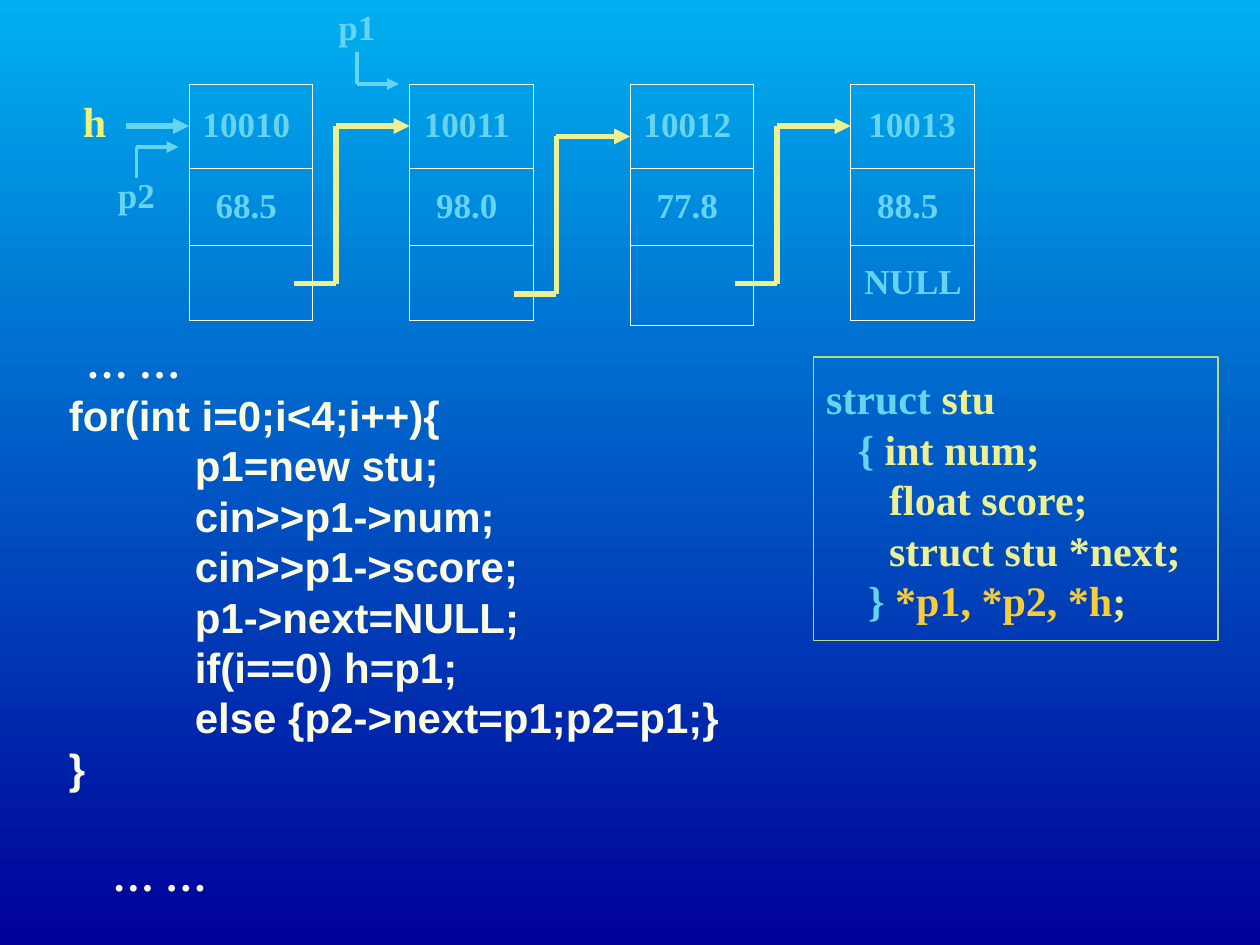
from dataclasses import dataclass

from lxml import etree
from pptx import Presentation
from pptx import util as u
from pptx.dml.color import RGBColor
from pptx.enum import shapes, text
from pptx.oxml import ns

SKY = RGBColor(0x00, 0xB0, 0xF0)
NAVY = RGBColor(0x00, 0x00, 0x99)
CYAN = RGBColor(0x66, 0xD4, 0xEE)
YELLOW = RGBColor(0xEC, 0xF0, 0x92)
LEMON = RGBColor(0xF0, 0xF3, 0x79)
GOLD = RGBColor(0xF5, 0xCD, 0x39)
CREAM = RGBColor(0xFB, 0xFA, 0xE2)
LIME = RGBColor(0xBA, 0xD9, 0x83)

SERIF = "Times New Roman"
NODE_LEFT, NODE_STEP, NODE_TOP, NODE_WIDTH = 108, 126, 48, 70.5


@dataclass
class Node:
    fields: tuple[str, ...]
    last_height: float = 42.5


@dataclass
class Line:
    runs: tuple[tuple[str, RGBColor], ...]
    indent: float = 0


@dataclass
class Label:
    words: str
    box: tuple[float, float, float, float]
    size: float
    color: RGBColor
    centered: bool = True


@dataclass
class Pointer:
    points: tuple[tuple[float, float], ...]
    color: RGBColor
    width: float


NODES = (
    Node(("10010 ", "68.5 ", "")),
    Node(("10011 ", "98.0 ", "")),
    Node(("10012 ", "77.8 ", ""), 45.5),
    Node(("10013", "88.5 ", "NULL ")),
)
LABELS = (
    Label("h", (36, 54, 36, 30), 24, LEMON),
    Label("p1", (186, 0, 36, 30), 20, CYAN),
    Label("p2", (60, 96, 36, 30), 20, CYAN),
    Label("… …", (49.2, 192, 95, 30), 24, CREAM, False),
    Label("… …", (64.3, 488, 78, 24), 24, CREAM, False),
)
POINTERS = (
    Pointer(((72, 72), (108, 72)), CYAN, 3),
    Pointer(((204, 30), (204, 48), (228, 48)), CYAN, 2.25),
    Pointer(((78, 102), (78, 84), (102, 84)), CYAN, 2.25),
)
STRUCT = (
    Line((("struct", CYAN), (" stu", YELLOW))),
    Line((("{", CYAN), (" int num;", YELLOW)), 18),
    Line((("float score;", YELLOW),), 36),
    Line((("struct stu *next;", YELLOW),), 36),
    Line((("} ", CYAN), ("*p1, *p2, *h", GOLD), (";", YELLOW)), 24),
)
LOOP_BODY = (
    "p1=new stu;",
    "cin>>p1->num;",
    "cin>>p1->score;",
    "p1->next=NULL;",
    "if(i==0) h=p1;",
    "else {p2->next=p1;p2=p1;}",
)
LOOP = (
    Line((("for(int i=0;i<4;i++){", CREAM),)),
    *(Line(((code, CREAM),), 72) for code in LOOP_BODY),
    Line((("}", CREAM),)),
)


def add_run(para, words: str, size: float, color: RGBColor, face: str = SERIF) -> None:
    span = para.add_run()
    span.text = words
    for name, value in {"name": face, "size": u.Pt(size), "bold": True}.items():
        setattr(span.font, name, value)
    span.font.color.rgb = color


def set_frame(frame, anchor, inset: tuple[float, float], wrap: bool = True) -> None:
    across, down = (u.Pt(value) for value in inset)
    settings = {
        "margin_left": across, "margin_right": across,
        "margin_top": down, "margin_bottom": down,
        "vertical_anchor": anchor, "word_wrap": wrap,
    }
    for name, value in settings.items():
        setattr(frame, name, value)


def write_lines(frame, lines: tuple[Line, ...], face: str) -> None:
    for number, line in enumerate(lines):
        para = frame.add_paragraph() if number else frame.paragraphs[0]
        para.alignment = text.PP_ALIGN.LEFT
        para._p.get_or_add_pPr().set("marL", str(u.Pt(line.indent)))
        for words, color in line.runs:
            add_run(para, words, 24, color, face)


def draw_borders(cell) -> None:
    properties = cell._tc.get_or_add_tcPr()
    for position, side in enumerate(("lnL", "lnR", "lnT", "lnB")):
        edge = etree.Element(ns.qn(f"a:{side}"), w=str(u.Pt(0.45)))
        fill = etree.SubElement(edge, ns.qn("a:solidFill"))
        etree.SubElement(fill, ns.qn("a:srgbClr"), val=str(CREAM))
        properties.insert(position, edge)


def draw_node(page, node: Node, left: float) -> None:
    heights = (48, 44.5, node.last_height)
    frame = page.shapes.add_table(
        len(heights), 1, u.Pt(left), u.Pt(NODE_TOP), u.Pt(NODE_WIDTH), u.Pt(sum(heights))
    )
    table = frame.table
    table.first_row = table.horz_banding = False
    for row, height, words in zip(table.rows, heights, node.fields):
        row.height = u.Pt(height)
        cell = row.cells[0]
        cell.fill.background()
        cell.vertical_anchor = text.MSO_ANCHOR.MIDDLE
        draw_borders(cell)
        if words:
            para = cell.text_frame.paragraphs[0]
            para.alignment = text.PP_ALIGN.CENTER
            para.space_before = u.Pt(5)
            add_run(para, words, 20, CYAN)


def draw_pointer(page, pointer: Pointer) -> None:
    for start, end in zip(pointer.points, pointer.points[1:]):
        line = page.shapes.add_connector(
            shapes.MSO_CONNECTOR.STRAIGHT, *(u.Pt(value) for value in start + end)
        )
        line.line.color.rgb = pointer.color
        line.line.width = u.Pt(pointer.width)
        etree.SubElement(line._element.spPr, ns.qn("a:effectLst"))
    etree.SubElement(line.line._get_or_add_ln(), ns.qn("a:tailEnd"), type="triangle")


def draw_label(page, label: Label) -> None:
    box = page.shapes.add_textbox(*(u.Pt(value) for value in label.box))
    set_frame(box.text_frame, text.MSO_ANCHOR.MIDDLE, (0, 3.6), False)
    para = box.text_frame.paragraphs[0]
    para.alignment = text.PP_ALIGN.CENTER if label.centered else text.PP_ALIGN.LEFT
    add_run(para, label.words, label.size, label.color)


def draw_struct(page) -> None:
    box = page.shapes.add_shape(
        shapes.MSO_SHAPE.RECTANGLE, u.Pt(465), u.Pt(204), u.Pt(231), u.Pt(162)
    )
    box.shadow.inherit = False
    box.fill.background()
    box.line.color.rgb = LIME
    box.line.width = u.Pt(0.75)
    set_frame(box.text_frame, text.MSO_ANCHOR.MIDDLE, (7.2, 3.6))
    write_lines(box.text_frame, STRUCT, SERIF)


def draw_loop(page) -> None:
    box = page.shapes.add_textbox(u.Pt(32.25), u.Pt(219), u.Pt(492), u.Pt(237.5))
    set_frame(box.text_frame, text.MSO_ANCHOR.TOP, (7.2, 3.6))
    write_lines(box.text_frame, LOOP, "Arial")


def paint_background(page) -> None:
    fill = page.background.fill
    fill.gradient()
    fill.gradient_angle = 270
    for stop, position, color in zip(fill.gradient_stops, (0, 1), (SKY, NAVY)):
        stop.position = position
        stop.color.rgb = color


def main() -> None:
    deck = Presentation()
    deck.slide_width, deck.slide_height = u.Pt(720), u.Pt(540)
    page = deck.slides.add_slide(deck.slide_layouts[6])
    paint_background(page)
    lefts = [NODE_LEFT + NODE_STEP * number for number in range(len(NODES))]
    for node, left in zip(NODES, lefts):
        draw_node(page, node, left)
    for left, drop in zip(lefts, (0, 6, 0)):
        low, high, bend = 162 + drop, 72 + drop, left + 84
        points = ((left + 60, low), (bend, low), (bend, high), (left + NODE_STEP, high))
        draw_pointer(page, Pointer(points, YELLOW, 3))
    for pointer in POINTERS:
        draw_pointer(page, pointer)
    for label in LABELS:
        draw_label(page, label)
    draw_struct(page)
    draw_loop(page)
    deck.save("out.pptx")


if __name__ == "__main__":
    main()
